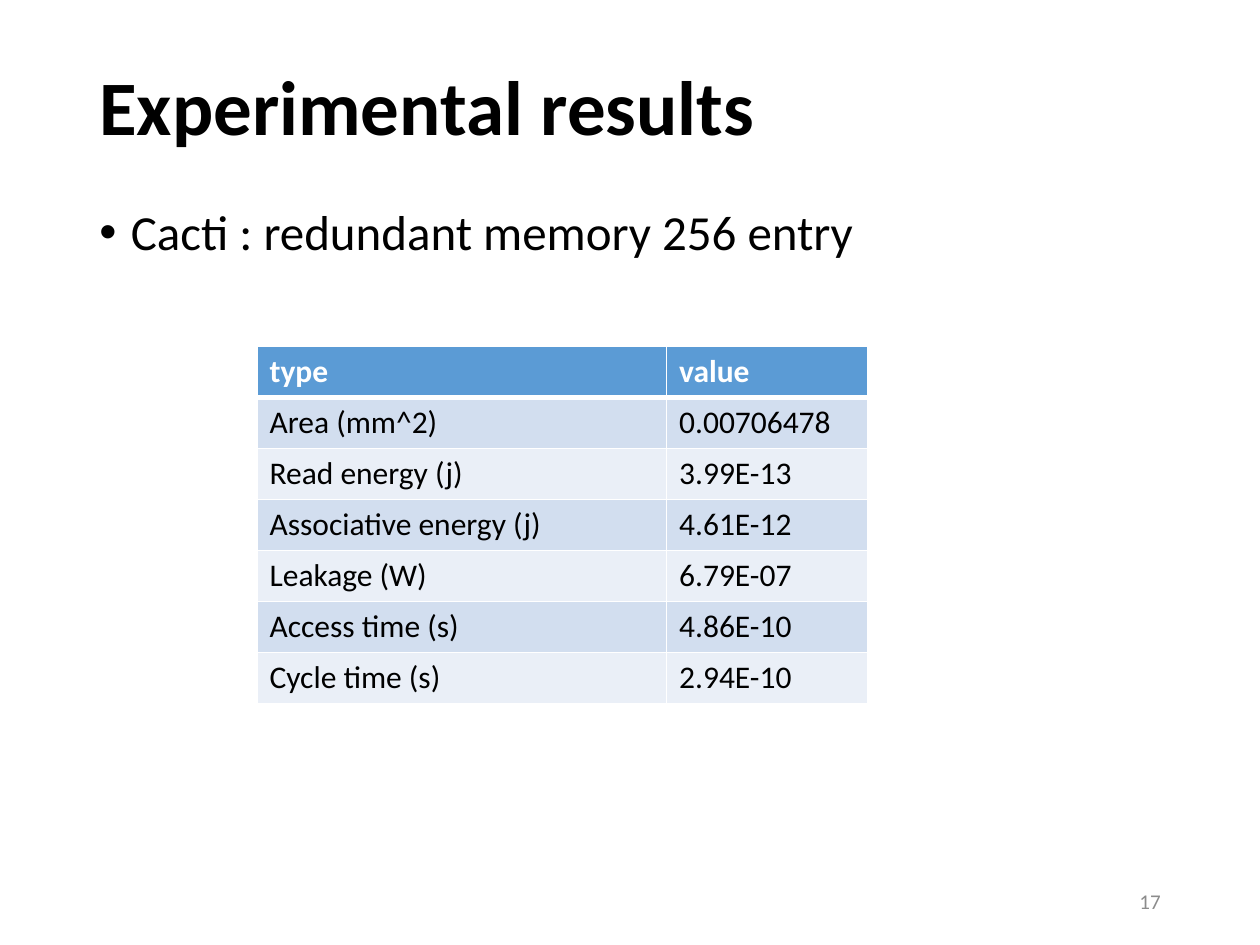
from dataclasses import dataclass

from lxml import etree
from pptx import Presentation
from pptx.dml.color import RGBColor
from pptx.enum.text import MSO_ANCHOR, PP_ALIGN
from pptx.oxml.ns import qn
from pptx.util import Inches, Pt

TOP, MIDDLE = MSO_ANCHOR.TOP, MSO_ANCHOR.MIDDLE
LEFT, RIGHT = PP_ALIGN.LEFT, PP_ALIGN.RIGHT
FONT = "Calibri"
BLACK, WHITE, GREY = "000000", "FFFFFF", "8C8C8C"
HEADER_FILL, BAND_FILLS = "5B9BD5", ("D2DEEF", "EAEFF7")
COLUMN_WIDTHS, ROW_HEIGHT = (3.25, 1.6), 0.405
RESULTS = (
    ("type", "value"),
    ("Area (mm^2)", "0.00706478"),
    ("Read energy (j)", "3.99E-13"),
    ("Associative energy (j)", "4.61E-12"),
    ("Leakage (W)", "6.79E-07"),
    ("Access time (s)", "4.86E-10"),
    ("Cycle time (s)", "2.94E-10"),
)


@dataclass
class TextItem:
    text: str
    left: float
    top: float
    width: float
    height: float
    size: float
    color: str = BLACK
    bold: bool = False
    anchor: MSO_ANCHOR = MIDDLE
    align: PP_ALIGN = LEFT
    line_spacing: float = 0.9
    bullet: bool = False


TEXTS = (
    TextItem("Experimental results", 0.69, 0.39, 8.62, 0.98, 44, bold=True),
    TextItem("Cacti : redundant memory 256 entry", 0.69, 1.6, 8.62, 5.54, 28,
             anchor=TOP, bullet=True),
    TextItem("17", 7.06, 6.95, 2.25, 0.4, 12, GREY, align=RIGHT, line_spacing=1.0),
)


def rgb(value: str) -> RGBColor:
    return RGBColor.from_string(value)


def add_span(para, text: str, size: float, color: str, bold: bool) -> None:
    span = para.add_run()
    span.text = text
    span.font.name = FONT
    span.font.size = Pt(size)
    span.font.bold = bold
    span.font.color.rgb = rgb(color)


def add_bullet(para) -> None:
    properties = para._p.get_or_add_pPr()
    properties.set("marL", str(Inches(0.25)))
    properties.set("indent", str(-Inches(0.25)))
    etree.SubElement(properties, qn("a:buFont"), typeface="Arial")
    etree.SubElement(properties, qn("a:buChar"), char="•")


def add_text(page, item: TextItem) -> None:
    box = page.shapes.add_textbox(Inches(item.left), Inches(item.top),
                                  Inches(item.width), Inches(item.height))
    frame = box.text_frame
    frame.word_wrap = True
    frame.vertical_anchor = item.anchor
    para = frame.paragraphs[0]
    if item.bullet:
        add_bullet(para)
    para.alignment = item.align
    para.line_spacing = item.line_spacing
    add_span(para, item.text, item.size, item.color, item.bold)


def set_borders(cell, top: float, bottom: float) -> None:
    """Draw white cell borders; top and bottom widths are in points."""
    properties = cell._tc.get_or_add_tcPr()
    widths = {"a:lnL": 1, "a:lnR": 1, "a:lnT": top, "a:lnB": bottom}
    for tag, width in widths.items():
        line = etree.SubElement(properties, qn(tag), w=str(Pt(width)))
        fill = etree.SubElement(line, qn("a:solidFill"))
        etree.SubElement(fill, qn("a:srgbClr"), val=WHITE)


def add_results_table(page) -> None:
    frame = page.shapes.add_table(
        len(RESULTS), len(COLUMN_WIDTHS), Inches(2.04), Inches(2.75),
        Inches(sum(COLUMN_WIDTHS)), Inches(ROW_HEIGHT * len(RESULTS)))
    table = frame.table
    for column, width in zip(table.columns, COLUMN_WIDTHS):
        column.width = Inches(width)
    for row_index, values in enumerate(RESULTS):
        table.rows[row_index].height = Inches(ROW_HEIGHT)
        header = row_index == 0
        fill = HEADER_FILL if header else BAND_FILLS[(row_index - 1) % 2]
        for column_index, value in enumerate(values):
            cell = table.cell(row_index, column_index)
            set_borders(cell, top=3 if row_index == 1 else 1, bottom=3 if header else 1)
            cell.fill.solid()
            cell.fill.fore_color.rgb = rgb(fill)
            add_span(cell.text_frame.paragraphs[0], value, 18,
                     WHITE if header else BLACK, header)


def main() -> None:
    deck = Presentation()
    deck.slide_width, deck.slide_height = Inches(10), Inches(7.5)
    page = deck.slides.add_slide(deck.slide_layouts[6])
    for item in TEXTS:
        add_text(page, item)
    add_results_table(page)
    deck.save("out.pptx")


if __name__ == "__main__":
    main()
